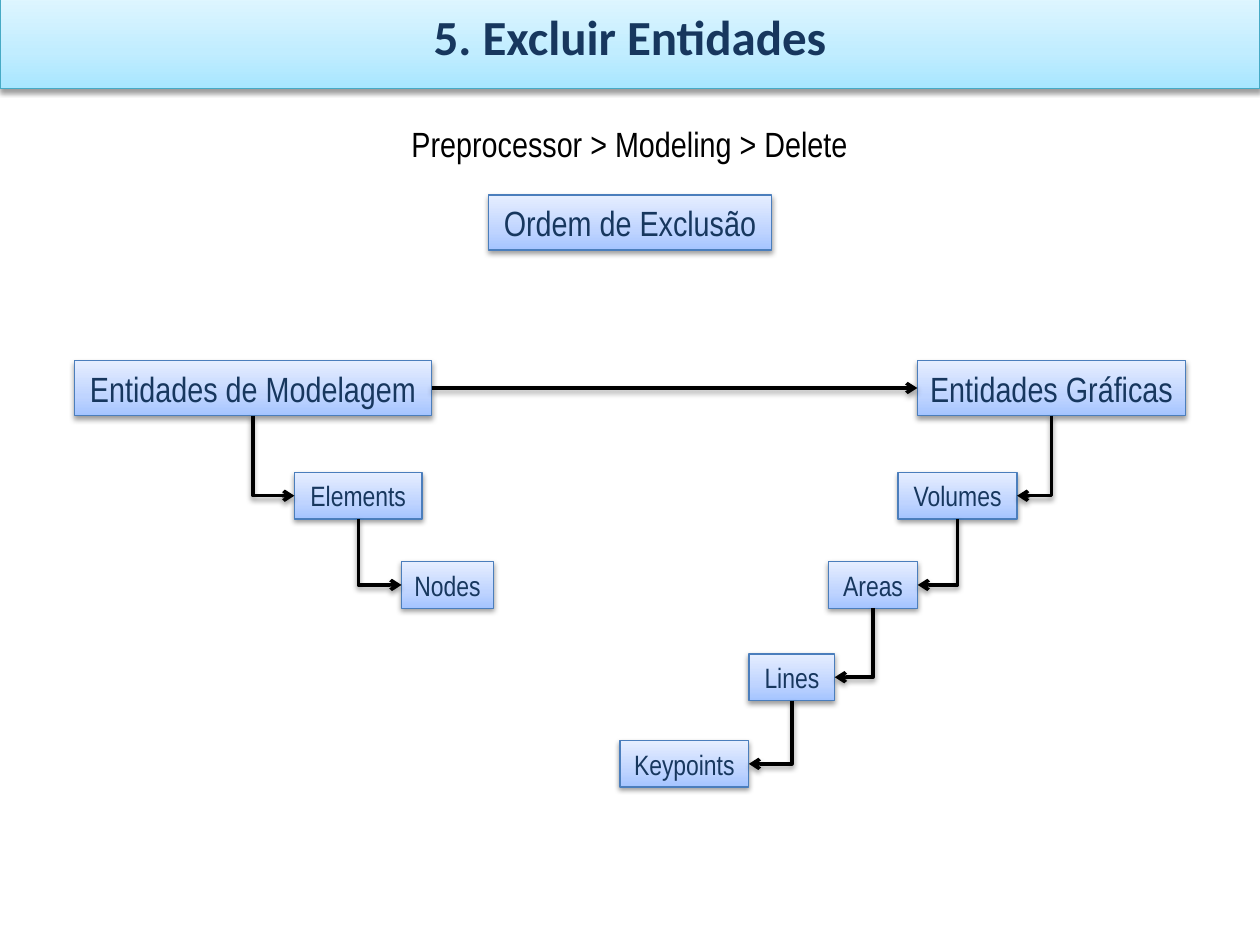
from copy import deepcopy

from pptx import Presentation
from pptx.dml.color import RGBColor
from pptx.enum.shapes import MSO_CONNECTOR, MSO_SHAPE
from pptx.enum.text import MSO_ANCHOR, MSO_AUTO_SIZE, PP_ALIGN
from pptx.oxml import parse_xml
from pptx.oxml.ns import nsdecls, qn
from pptx.util import Pt

COLORS = {
    "navy": "17375E", "black": "000000", "white": "FFFFFF",
    "title line": "46AAC5", "box line": "4B7EBC",
}
TITLE_GRADIENT = ("A7E6FF", "C1EDFF", "E7F8FF")
BOX_GRADIENT = ("A4C4FF", "BFD4FF", "E6EEFF")
STOPS = (0, 0.35, 1)
HEADING, STEP = (31.5, 20), (26.6, 16)  # box height, text size
LEFT, BOTTOM, RIGHT = 1, 2, 3  # connection sites of a rectangle


def rgb(name):
    return RGBColor.from_string(COLORS[name])


def add_shadow(shape):
    properties = shape._element.spPr
    for old in properties.findall(qn("a:effectLst")):
        properties.remove(old)
    properties.append(parse_xml(
        f'<a:effectLst {nsdecls("a")}><a:outerShdw blurRad="{Pt(3.1)}" '
        f'dist="{Pt(1.6)}" dir="5400000" rotWithShape="0">'
        '<a:srgbClr val="000000"><a:alpha val="38000"/></a:srgbClr>'
        '</a:outerShdw></a:effectLst>'))


def style_panel(shape, gradient, line):
    shape.fill.gradient()
    stop_list = shape._element.spPr.find(".//" + qn("a:gsLst"))
    stop_list.append(deepcopy(stop_list[0]))
    for stop, position, color in zip(shape.fill.gradient_stops, STOPS, gradient):
        stop.position = position
        stop.color.rgb = RGBColor.from_string(color)
    shape.fill.gradient_angle = 90
    shape.line.color.rgb = rgb(line)
    shape.line.width = Pt(0.75)
    add_shadow(shape)


def write(shape, text, size, color="navy", font="Arial Narrow", bold=False, wrap=False):
    frame = shape.text_frame
    frame.text = text
    frame.word_wrap = wrap
    frame.auto_size = MSO_AUTO_SIZE.SHAPE_TO_FIT_TEXT
    frame.vertical_anchor = MSO_ANCHOR.MIDDLE
    para = frame.paragraphs[0]
    para.alignment = PP_ALIGN.CENTER
    para.font.name, para.font.size, para.font.bold = font, Pt(size), bold
    para.font.color.rgb = rgb(color)


def add_title(page, text):
    title = page.shapes.title
    title.left, title.top, title.width, title.height = Pt(0), Pt(0), Pt(720), Pt(41.2)
    style_panel(title, TITLE_GRADIENT, "title line")
    write(title, text, 28, font="Calibri", bold=True, wrap=True)


def add_caption(page, text, left, top, width):
    height, size = HEADING
    caption = page.shapes.add_textbox(Pt(left), Pt(top), Pt(width), Pt(height))
    caption.fill.solid()
    caption.fill.fore_color.rgb = rgb("white")
    write(caption, text, size, "black", wrap=True)


def add_box(page, text, left, top, width, kind=STEP):
    height, size = kind
    box = page.shapes.add_shape(
        MSO_SHAPE.RECTANGLE, Pt(left), Pt(top), Pt(width), Pt(height))
    style_panel(box, BOX_GRADIENT, "box line")
    write(box, text, size)
    return box


def add_arrow(page, kind, start, start_site, end, end_site):
    arrow = page.shapes.add_connector(kind, 0, 0, 0, 0)
    arrow.begin_connect(start, start_site)
    arrow.end_connect(end, end_site)
    arrow.line.color.rgb = rgb("black")
    arrow.line.width = Pt(2)
    arrow.line._get_or_add_ln().append(
        parse_xml(f'<a:tailEnd {nsdecls("a")} type="arrow"/>'))
    add_shadow(arrow)
    return arrow


def add_elbow(page, start, end):
    """Run down from the start box, then sideways into the end box."""
    to_right = end.left > start.left
    arrow = add_arrow(page, MSO_CONNECTOR.ELBOW, start, BOTTOM,
                      end, LEFT if to_right else RIGHT)
    x1, y1 = start.left + start.width // 2, start.top + start.height
    x2 = end.left if to_right else end.left + end.width
    y2 = end.top + end.height // 2

    # A one-bend connector is stored turned a quarter about its centre
    across, down = abs(x2 - x1), y2 - y1
    arrow.left, arrow.top = (x1 + x2 - down) // 2, (y1 + y2 - across) // 2
    arrow.width, arrow.height = down, across
    properties = arrow._element.spPr
    frame = properties.find(qn("a:xfrm"))
    frame.set("rot", "16200000" if to_right else "5400000")
    frame.set("flipH", "1" if to_right else "0")
    frame.set("flipV", "0")
    properties.find(qn("a:prstGeom")).set("prst", "bentConnector2")


def main():
    deck = Presentation()
    deck.slide_width, deck.slide_height = Pt(720), Pt(540)
    page = deck.slides.add_slide(deck.slide_layouts[5])

    # Headings
    add_title(page, "5. Excluir Entidades")
    add_caption(page, "Preprocessor > Modeling > Delete", 214.8, 66.2, 290)
    add_box(page, "Ordem de Exclusão", 279.2, 111.4, 161.6, HEADING)

    # Deletion order: each chain steps down from its heading
    modeling = [
        add_box(page, "Entidades de Modelagem", 42.5, 206, 204.2, HEADING),
        add_box(page, "Elements", 168.2, 270, 73),
        add_box(page, "Nodes", 229.4, 321, 52.6),
    ]
    graphics = [
        add_box(page, "Entidades Gráficas", 524.2, 206, 153.4, HEADING),
        add_box(page, "Volumes", 513.2, 270, 68),
        add_box(page, "Areas", 473.4, 321, 51),
        add_box(page, "Lines", 428, 373.7, 49),
        add_box(page, "Keypoints", 354.3, 423.2, 73.6),
    ]

    # Arrows
    for chain in (modeling, graphics):
        for start, end in zip(chain, chain[1:]):
            add_elbow(page, start, end)
    add_arrow(page, MSO_CONNECTOR.STRAIGHT, modeling[0], RIGHT, graphics[0], LEFT)

    deck.save("out.pptx")


if __name__ == "__main__":
    main()
